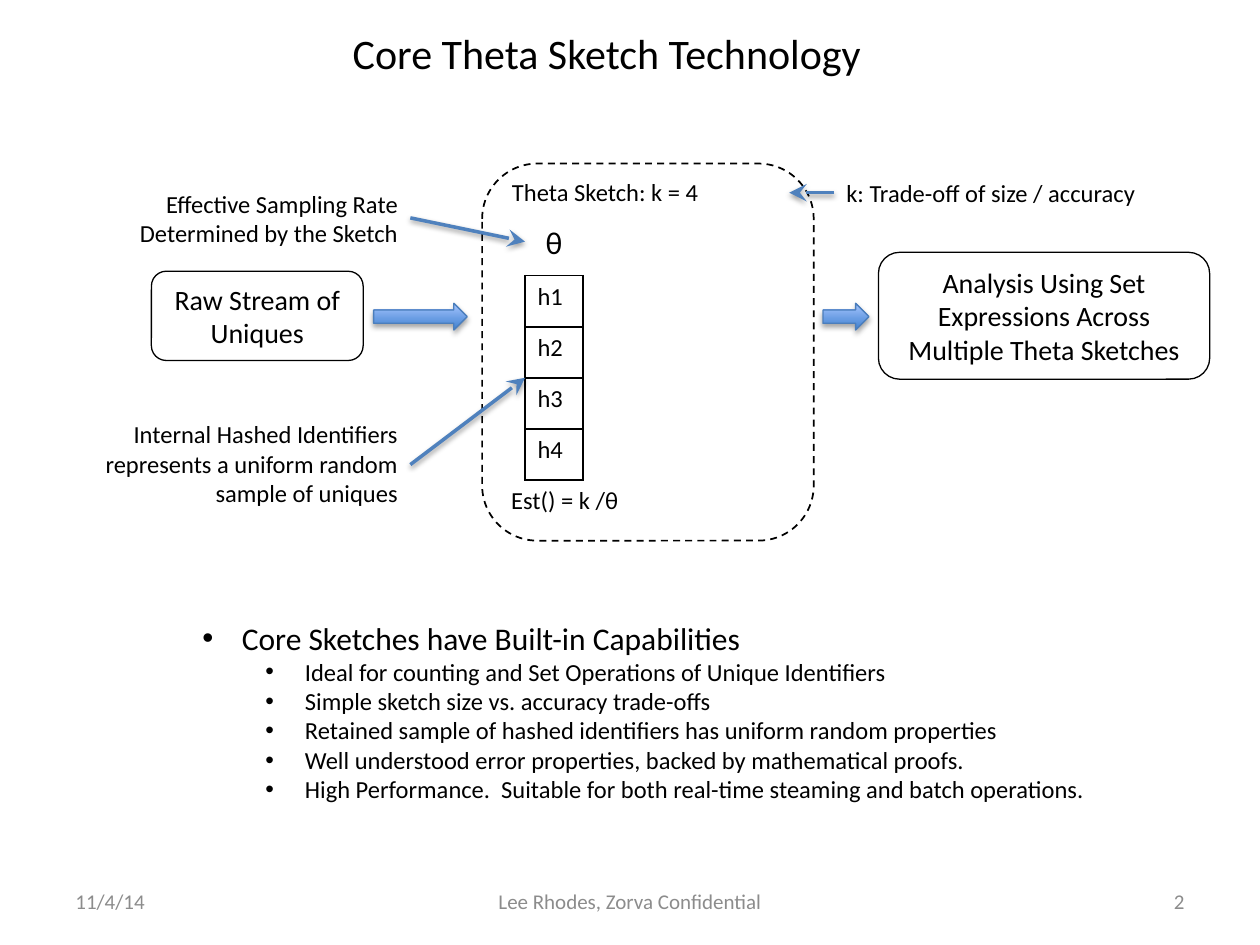
from lxml import etree
from pptx import Presentation
from pptx.dml.color import RGBColor
from pptx.enum import dml, shapes, text
from pptx.oxml import ns
from pptx.util import Pt

LEFT, MID, RIGHT = text.PP_ALIGN.LEFT, text.PP_ALIGN.CENTER, text.PP_ALIGN.RIGHT
BLACK, GREY, BLUE = "000000", "8C8C8C", "4F81BD"
POINTS = [
    "Core Sketches have Built-in Capabilities",
    "Ideal for counting and Set Operations of Unique Identifiers",
    "Simple sketch size vs. accuracy trade-offs",
    "Retained sample of hashed identifiers has uniform random properties",
    "Well understood error properties, backed by mathematical proofs.",
    "High Performance.  Suitable for both real-time steaming and batch operations.",
]


def color(code):
    return RGBColor.from_string(code)


def sub(node, tag, **attrs):
    return etree.SubElement(node, ns.qn(tag), attrs)


def style(para, size, align=LEFT, ink=BLACK):
    para.alignment = align
    for run in para.runs:
        run.font.size, run.font.name = Pt(size), "Calibri"
        run.font.color.rgb = color(ink)


def write(frame, words, size, align=LEFT, ink=BLACK, anchor=text.MSO_ANCHOR.TOP):
    frame.text, frame.word_wrap = words, True
    frame.vertical_anchor = anchor
    for para in frame.paragraphs:
        style(para, size, align, ink)


def label(slide, box, words, size=14, align=LEFT, **more):
    item = slide.shapes.add_textbox(*map(Pt, box))
    write(item.text_frame, words, size, align, **more)


def shade(shape, alpha, dist):
    """Cast a soft shadow straight down."""
    effects = sub(shape._element.spPr, "a:effectLst")
    outer = sub(effects, "a:outerShdw", blurRad=str(Pt(3.1)), dist=str(Pt(dist)),
                dir="5400000", rotWithShape="0")
    ink = sub(outer, "a:srgbClr", val=BLACK)
    sub(ink, "a:alpha", val=str(alpha * 1000))


def frame(slide, box, width):
    """Draw an unfilled rounded box."""
    item = slide.shapes.add_shape(shapes.MSO_SHAPE.ROUNDED_RECTANGLE, *map(Pt, box))
    item.shadow.inherit = False
    item.fill.background()
    item.line.color.rgb, item.line.width = color(BLACK), Pt(width)
    return item


def stage(slide, box, words):
    item = frame(slide, box, 0.75)
    write(item.text_frame, words, 16, MID, anchor=text.MSO_ANCHOR.MIDDLE)


def flow(slide, box):
    """Draw a block arrow between two stages."""
    item = slide.shapes.add_shape(shapes.MSO_SHAPE.RIGHT_ARROW, *map(Pt, box))
    item.fill.gradient()
    item.fill.gradient_angle = 90
    for stop, code, place in zip(item.fill.gradient_stops, ("3F80CE", "A4C4FF"), (0, 1)):
        stop.color.rgb, stop.position = color(code), place
    item.line.color.rgb, item.line.width = color("4B7EBC"), Pt(0.75)
    shade(item, 35, 1.8)


def pointer(slide, start, end):
    line = slide.shapes.add_connector(shapes.MSO_CONNECTOR.STRAIGHT, *map(Pt, start + end))
    line.line.color.rgb, line.line.width = color(BLUE), Pt(2)
    sub(line.line._get_or_add_ln(), "a:tailEnd", type="stealth", w="lg", len="lg")
    shade(line, 38, 1.6)


def border(cell):
    props = cell._tc.get_or_add_tcPr()
    for spot, side in enumerate(("a:lnL", "a:lnR", "a:lnT", "a:lnB")):
        line = sub(props, side, w=str(Pt(1)))
        sub(sub(line, "a:solidFill"), "a:srgbClr", val=BLACK)
        props.insert(spot, line)


def hashes(slide, box, names):
    grid = slide.shapes.add_table(len(names), 1, *map(Pt, box)).table
    grid.first_row = grid.horz_banding = False
    for row, name in zip(grid.rows, names):
        row.height = Pt(box[3] / len(names))
        cell = row.cells[0]
        write(cell.text_frame, name, 14)
        cell.fill.background()
        border(cell)


def sketch(slide, box):
    x, y, w, h = box
    label(slide, (x + 10, y + 4.3, 166, 24.3), "Theta Sketch: k = 4")
    frame(slide, box, 1).line.dash_style = dml.MSO_LINE.DASH
    label(slide, (x + 9.5, y + 180, 112, 24.3), "Est() = k /θ")
    hashes(slide, (x + 24.5, y + 64, 33.1, 117), ["h1", "h2", "h3", "h4"])
    label(slide, (x + 24.5, y + 30.3, 33.1, 29), "θ", 18, MID)


def notes(slide, box):
    """Place the side remarks around the sketch box, each with its pointer."""
    x, y, w, h = box
    tip = x - 41
    label(slide, (tip - 187, y + 10.8, 187, 41),
          "Effective Sampling Rate\nDetermined by the Sketch", align=RIGHT)
    pointer(slide, (tip, y + 31), (x + 24.5, y + 44.6))
    label(slide, (tip - 194.5, y + 142.6, 194.5, 58.3),
          "Internal Hashed Identifiers\nrepresents a uniform random sample of uniques",
          align=RIGHT)
    pointer(slide, (tip, y + 172), (x + 24.5, y + 122.4))
    label(slide, (x + w + 11.5, y + 4.5, 207.4, 24.3), "k: Trade-off of size / accuracy")
    pointer(slide, (x + w + 11.5, y + 16.6), (x + w - 14, y + 16.6))


def place(item, box):
    item.left, item.top, item.width, item.height = map(Pt, box)


def title(slide, box):
    item = slide.shapes.title
    place(item, box)
    write(item.text_frame, "Core Theta Sketch Technology", 24, MID)


def points(slide, box):
    body = slide.placeholders[1]
    place(body, box)
    write(body.text_frame, "\n".join(POINTS), 14)
    body.text_frame.auto_size = text.MSO_AUTO_SIZE.NONE
    for level, para in enumerate(body.text_frame.paragraphs):
        para.level = min(level, 1)
        para.space_before = Pt(0)
        props = para._p.get_or_add_pPr()
        props.set("marL", str(Pt(58.5 if level else 22.5)))
        props.set("indent", str(Pt(-22.5)))
        sub(props, "a:buFont", typeface="Arial")
        sub(props, "a:buChar", char="•")
    style(body.text_frame.paragraphs[0], 18)


def footer(slide, box):
    x, y, w, h = box
    parts = [(0, 168, "11/4/14", LEFT), (210, 228, "Lee Rhodes, Zorva Confidential", MID),
             (w - 168, 168, "2", RIGHT)]
    for left, width, words, align in parts:
        label(slide, (x + left, y, width, h), words, 12, align,
              ink=GREY, anchor=text.MSO_ANCHOR.MIDDLE)


def main():
    deck = Presentation()
    deck.slide_width, deck.slide_height = Pt(720), Pt(540)
    slide = deck.slides.add_slide(deck.slide_layouts[1])
    core = (275.5, 93.5, 189.5, 215.5)
    title(slide, (190.5, 12.3, 312.5, 36))
    flow(slide, (213.5, 173.3, 53.5, 15.3))
    flow(slide, (470.3, 173.3, 26.3, 15.3))
    stage(slide, (502, 144.2, 189.3, 72.5), "Analysis Using Set Expressions Across Multiple Theta Sketches")
    sketch(slide, core)
    points(slide, (108.5, 350, 536.5, 135))
    footer(slide, (36, 500.5, 648, 28.8))
    notes(slide, core)
    stage(slide, (86.5, 155, 121, 51), "Raw Stream of\nUniques")
    deck.save("out.pptx")


if __name__ == "__main__":
    main()
